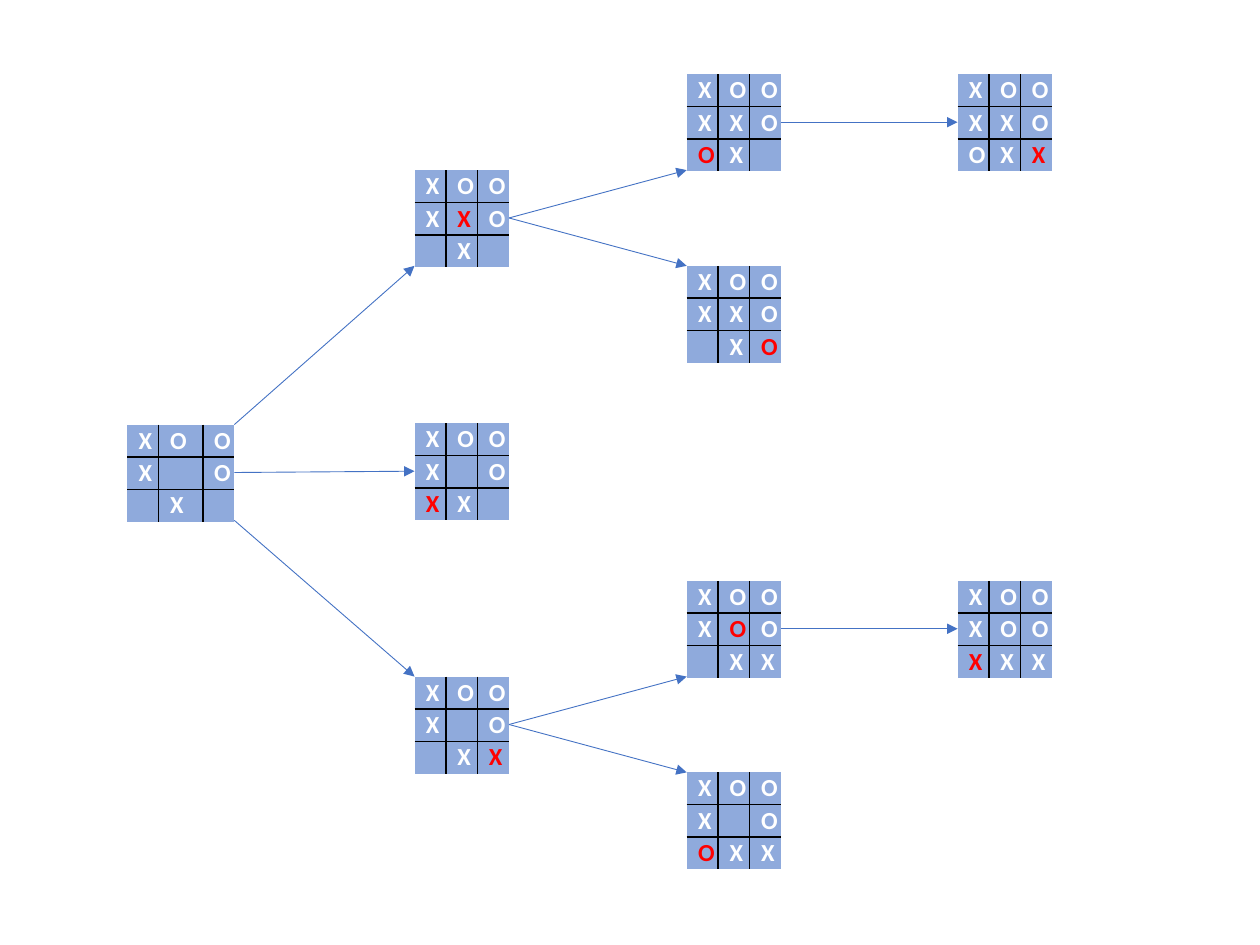
from dataclasses import dataclass

from lxml.etree import SubElement
from pptx import Presentation
from pptx.dml.color import RGBColor
from pptx.enum.shapes import MSO_CONNECTOR
from pptx.enum.text import MSO_ANCHOR
from pptx.oxml.ns import qn
from pptx.shapes.connector import Connector
from pptx.shapes.graphfrm import GraphicFrame
from pptx.slide import Slide
from pptx.table import Table, _Cell
from pptx.util import Inches, Pt


@dataclass(frozen=True)
class Theme:
    font: str = "Calibri"
    mark_size: int = 14
    mark: str = "FFFFFF"
    new_move: str = "FF0000"
    cell: str = "8FAADC"
    grid: str = "000000"
    arrow: str = "4472C4"
    grid_width: float = 1
    arrow_width: float = 0.5


@dataclass(frozen=True)
class Board:
    """A game position; a lowercase mark is the move just played."""
    name: str
    left: float
    top: float
    rows: tuple[str, str, str]
    middle_width: float = 0.25


@dataclass(frozen=True)
class Arrow:
    """A move between boards; each end is the top, middle or bottom of a side."""
    parent: str
    child: str
    begin: str = "middle"
    end: str = "middle"


THEME = Theme()
PLAIN_TABLE_STYLE = "{2D5ABB26-0587-4C30-8999-92F81FD0307C}"
SIDE = 0.25
BOARD_HEIGHT = 0.76
LEVELS = (1.01, 3.29, 5.45, 7.6)
ALONG_SIDE = {"top": 0, "middle": 0.5, "bottom": 1}
LEFT_SITE, RIGHT_SITE = 1, 3

BOARDS = (
    Board("centre", LEVELS[1], 1.35, ("XOO", "XxO", " X ")),
    Board("centre, right reply", LEVELS[2], 2.11, ("XOO", "XXO", " Xo")),
    Board("centre, left reply", LEVELS[2], 0.59, ("XOO", "XXO", "oX ")),
    Board("start", LEVELS[0], 3.37, ("XOO", "X O", " X "), middle_width=0.35),
    Board("left", LEVELS[1], 3.36, ("XOO", "X O", "xX ")),
    Board("right, centre reply", LEVELS[2], 4.61, ("XOO", "XoO", " XX")),
    Board("right, left reply", LEVELS[2], 6.13, ("XOO", "X O", "oXX")),
    Board("right", LEVELS[1], 5.37, ("XOO", "X O", " Xx")),
    Board("centre, end", LEVELS[3], 0.59, ("XOO", "XXO", "OXx")),
    Board("right, end", LEVELS[3], 4.61, ("XOO", "XOO", "xXX")),
)

ARROWS = (
    Arrow("start", "centre", begin="top", end="bottom"),
    Arrow("start", "left"),
    Arrow("start", "right", begin="bottom", end="top"),
    Arrow("centre", "centre, left reply", end="bottom"),
    Arrow("centre", "centre, right reply", end="top"),
    Arrow("right", "right, centre reply", end="bottom"),
    Arrow("right", "right, left reply", end="top"),
    Arrow("centre, left reply", "centre, end"),
    Arrow("right, centre reply", "right, end"),
)


def clear_style(table: Table) -> None:
    table.first_row = table.horz_banding = False
    style = table._tbl.tblPr.find(qn("a:tableStyleId"))
    style.text = PLAIN_TABLE_STYLE


def rule_inner_edges(cell: _Cell, row: int, column: int) -> None:
    properties = cell._tc.get_or_add_tcPr()
    inner_edges = {"lnL": column > 0, "lnR": column < 2, "lnT": row > 0, "lnB": row < 2}
    for tag, is_inner in inner_edges.items():
        if is_inner:
            border = SubElement(properties, qn(f"a:{tag}"), w=str(Pt(THEME.grid_width)))
            fill = SubElement(border, qn("a:solidFill"))
            SubElement(fill, qn("a:srgbClr"), val=THEME.grid)


def fill_cell(cell: _Cell, mark: str, is_first: bool) -> None:
    cell.fill.solid()
    cell.fill.fore_color.rgb = RGBColor.from_string(THEME.cell)
    cell.vertical_anchor = MSO_ANCHOR.MIDDLE
    cell.margin_left = Inches(0.09)
    cell.margin_right = Inches(0 if is_first else 0.02)
    cell.margin_top = cell.margin_bottom = Inches(0 if is_first else 0.01)
    paragraph = cell.text_frame.paragraphs[0]
    if mark == " ":
        # An empty cell needs the mark size too, or its row grows.
        SubElement(paragraph._p, qn("a:endParaRPr"), sz=str(THEME.mark_size * 100))
        return
    run = paragraph.add_run()
    run.text = mark.upper()
    run.font.name = THEME.font
    run.font.size = Pt(THEME.mark_size)
    run.font.bold = True
    color = THEME.new_move if mark.islower() else THEME.mark
    run.font.color.rgb = RGBColor.from_string(color)


def add_board(slide: Slide, board: Board) -> GraphicFrame:
    widths = (SIDE, board.middle_width, SIDE)
    frame = slide.shapes.add_table(
        3, 3, Inches(board.left), Inches(board.top),
        Inches(sum(widths)), Inches(BOARD_HEIGHT),
    )
    table = frame.table
    clear_style(table)
    for column, width in zip(table.columns, widths):
        column.width = Inches(width)
    for row, marks in enumerate(board.rows):
        for column, mark in enumerate(marks):
            cell = table.cell(row, column)
            rule_inner_edges(cell, row, column)
            fill_cell(cell, mark, is_first=row == column == 0)
    return frame


def add_arrow(slide: Slide, arrow: Arrow, frames: dict[str, GraphicFrame]) -> Connector:
    parent, child = frames[arrow.parent], frames[arrow.child]
    connector = slide.shapes.add_connector(
        MSO_CONNECTOR.STRAIGHT,
        parent.left + parent.width,
        parent.top + round(parent.height * ALONG_SIDE[arrow.begin]),
        child.left,
        child.top + round(child.height * ALONG_SIDE[arrow.end]),
    )
    if arrow.begin == "middle":
        connector.begin_connect(parent, RIGHT_SITE)
    if arrow.end == "middle":
        connector.end_connect(child, LEFT_SITE)
    connector.line.color.rgb = RGBColor.from_string(THEME.arrow)
    connector.line.width = Pt(THEME.arrow_width)
    SubElement(connector.line._get_or_add_ln(), qn("a:tailEnd"), type="triangle")
    SubElement(connector._element.spPr, qn("a:effectLst"))
    return connector


def main() -> None:
    presentation = Presentation()
    presentation.slide_width = Inches(10)
    presentation.slide_height = Inches(7.5)
    slide = presentation.slides.add_slide(presentation.slide_layouts[6])
    frames = {board.name: add_board(slide, board) for board in BOARDS}
    for arrow in ARROWS:
        add_arrow(slide, arrow, frames)
    presentation.save("out.pptx")


if __name__ == "__main__":
    main()
